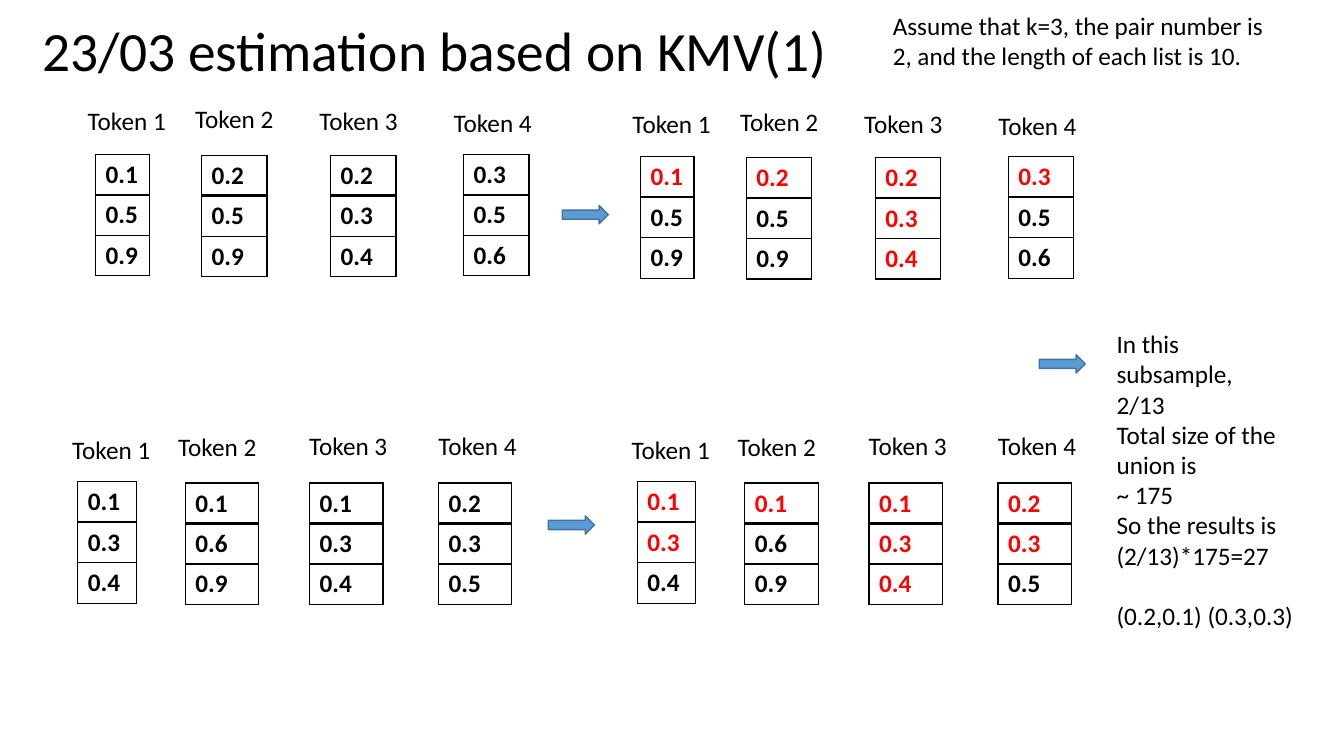
from dataclasses import dataclass

from lxml.etree import SubElement
from pptx import Presentation
from pptx.dml.color import RGBColor
from pptx.enum.shapes import MSO_SHAPE as Preset
from pptx.enum.text import MSO_ANCHOR as Anchor, MSO_AUTO_SIZE as AutoSize
from pptx.oxml.ns import qn
from pptx.slide import Slide
from pptx.util import Cm, Pt

BLACK = RGBColor(0x00, 0x00, 0x00)
RED = RGBColor(0xFF, 0x00, 0x00)
BLUE = RGBColor(0x5B, 0x9B, 0xD5)
DARK_BLUE = RGBColor(0x43, 0x73, 0x9E)

BODY_FORMAT = {"name": "Calibri", "size": Pt(18), "bold": False}
CELL_FORMAT = BODY_FORMAT | {"bold": True}
TITLE_FORMAT = BODY_FORMAT | {"size": Pt(39.6)}
PLAIN_TABLE = {"first_row": False, "horz_banding": False}
ROW_HEIGHT = 1.02
THIN, THICK = Pt(1), Pt(2)


@dataclass(frozen=True)
class Token:
    label_left: float
    label_top: float
    table_left: float
    table_top: float
    table_width: float
    values: tuple[str, ...]
    sampled: int
    label_width: float = 4.14


@dataclass(frozen=True)
class TokenList:
    tokens: tuple[Token, ...]
    shift_right: float
    shift_down: float


@dataclass(frozen=True)
class Note:
    left: float
    top: float
    width: float
    height: float
    lines: tuple[str, ...]
    last_gap: float = 0


@dataclass(frozen=True)
class Arrow:
    left: float
    top: float


TOKEN_LISTS = (
    TokenList(
        (
            Token(1.96, 2.54, 2.41, 3.89, 1.35, ("0.1", "0.5", "0.9"), 1),
            Token(4.67, 2.49, 5.08, 3.91, 1.65, ("0.2", "0.5", "0.9"), 1),
            Token(7.8, 2.54, 8.33, 3.91, 1.65, ("0.2", "0.3", "0.4"), 3),
            Token(11.18, 2.59, 11.68, 3.89, 1.65, ("0.3", "0.5", "0.6"), 1),
        ),
        13.73,
        0.06,
    ),
    TokenList(
        (
            Token(1.57, 10.82, 1.96, 12.14, 1.47, ("0.1", "0.3", "0.4"), 2, 2.74),
            Token(4.24, 10.74, 4.67, 12.17, 1.85, ("0.1", "0.6", "0.9"), 1),
            Token(7.54, 10.72, 7.8, 12.17, 1.85, ("0.1", "0.3", "0.4"), 3),
            Token(10.8, 10.72, 11.05, 12.17, 1.85, ("0.2", "0.3", "0.5"), 2),
        ),
        14.1,
        0,
    ),
)

NOTES = (
    Note(22.25, 0.13, 10.13, 1.8,
         ("Assume that k=3, the pair number is 2, and the length of each list is 10.",)),
    Note(27.89, 8.15, 5.08, 7.19,
         ("In this subsample,", "2/13", "Total size of the union is", "~ 175",
          "So the results is", "(2/13)*175=27", "(0.2,0.1) (0.3,0.3)"), 21.6),
)

ARROWS = (Arrow(14.17, 5.18), Arrow(13.82, 13), Arrow(26.19, 8.94))


def apply_format(target: object, values: dict) -> None:
    for name, value in values.items():
        setattr(target, name, value)


def write(para, text: str, values: dict, color: RGBColor = BLACK) -> None:
    span = para.add_run()
    span.text = text
    apply_format(span.font, values)
    span.font.color.rgb = color


def draw_title(page: Slide, text: str) -> None:
    box = page.shapes.add_textbox(Cm(0.81), Cm(0.08), Cm(21.74), Cm(2.54))
    apply_format(box.text_frame, {"word_wrap": True, "vertical_anchor": Anchor.MIDDLE})
    para = box.text_frame.paragraphs[0]
    para.line_spacing = 0.9
    write(para, text, TITLE_FORMAT)


def draw_note(page: Slide, note: Note) -> None:
    box = page.shapes.add_textbox(Cm(note.left), Cm(note.top), Cm(note.width), Cm(note.height))
    frame = box.text_frame
    apply_format(frame, {"word_wrap": True, "auto_size": AutoSize.SHAPE_TO_FIT_TEXT})
    for index, line in enumerate(note.lines):
        para = frame.add_paragraph() if index else frame.paragraphs[0]
        write(para, line, BODY_FORMAT)
    if note.last_gap:
        frame.paragraphs[-1].space_before = Pt(note.last_gap)


def set_borders(cell, top: int, bottom: int) -> None:
    properties = cell._tc.get_or_add_tcPr()
    for side, width in (("L", THIN), ("R", THIN), ("T", top), ("B", bottom)):
        line = SubElement(properties, qn(f"a:ln{side}"), w=str(width))
        fill = SubElement(line, qn("a:solidFill"))
        SubElement(fill, qn("a:srgbClr"), val=str(BLACK))


def draw_values(page: Slide, token: Token, right: float, down: float) -> None:
    count = len(token.values)
    table = page.shapes.add_table(
        count, 1, Cm(token.table_left + right), Cm(token.table_top + down),
        Cm(token.table_width), Cm(ROW_HEIGHT * count),
    ).table
    apply_format(table, PLAIN_TABLE)
    for index, value in enumerate(token.values):
        table.rows[index].height = Cm(ROW_HEIGHT)
        cell = table.cell(index, 0)
        set_borders(cell, THICK if index == 1 else THIN, THICK if index == 0 else THIN)
        cell.fill.background()
        color = RED if right and index < token.sampled else BLACK
        write(cell.text_frame.paragraphs[0], value, CELL_FORMAT, color)


def draw_tokens(page: Slide, token_list: TokenList) -> None:
    for right, down in ((0, 0), (token_list.shift_right, token_list.shift_down)):
        for number, token in enumerate(token_list.tokens, start=1):
            draw_note(page, Note(token.label_left + right, token.label_top + down,
                                 token.label_width, 1.02, (f"Token {number}",)))
            draw_values(page, token, right, down)


def draw_arrow(page: Slide, arrow: Arrow) -> None:
    shape = page.shapes.add_shape(
        Preset.RIGHT_ARROW, Cm(arrow.left), Cm(arrow.top), Cm(1.16), Cm(0.46))
    shape.shadow.inherit = False
    shape.fill.solid()
    shape.fill.fore_color.rgb = BLUE
    shape.line.color.rgb = DARK_BLUE
    shape.line.width = Pt(1)


def main() -> None:
    deck = Presentation()
    apply_format(deck, {"slide_width": Cm(33.87), "slide_height": Cm(19.05)})
    page = deck.slides.add_slide(deck.slide_layouts[6])
    draw_title(page, "23/03 estimation based on KMV(1)")
    for token_list in TOKEN_LISTS:
        draw_tokens(page, token_list)
    for arrow in ARROWS:
        draw_arrow(page, arrow)
    for note in NOTES:
        draw_note(page, note)
    deck.save("out.pptx")


if __name__ == "__main__":
    main()
